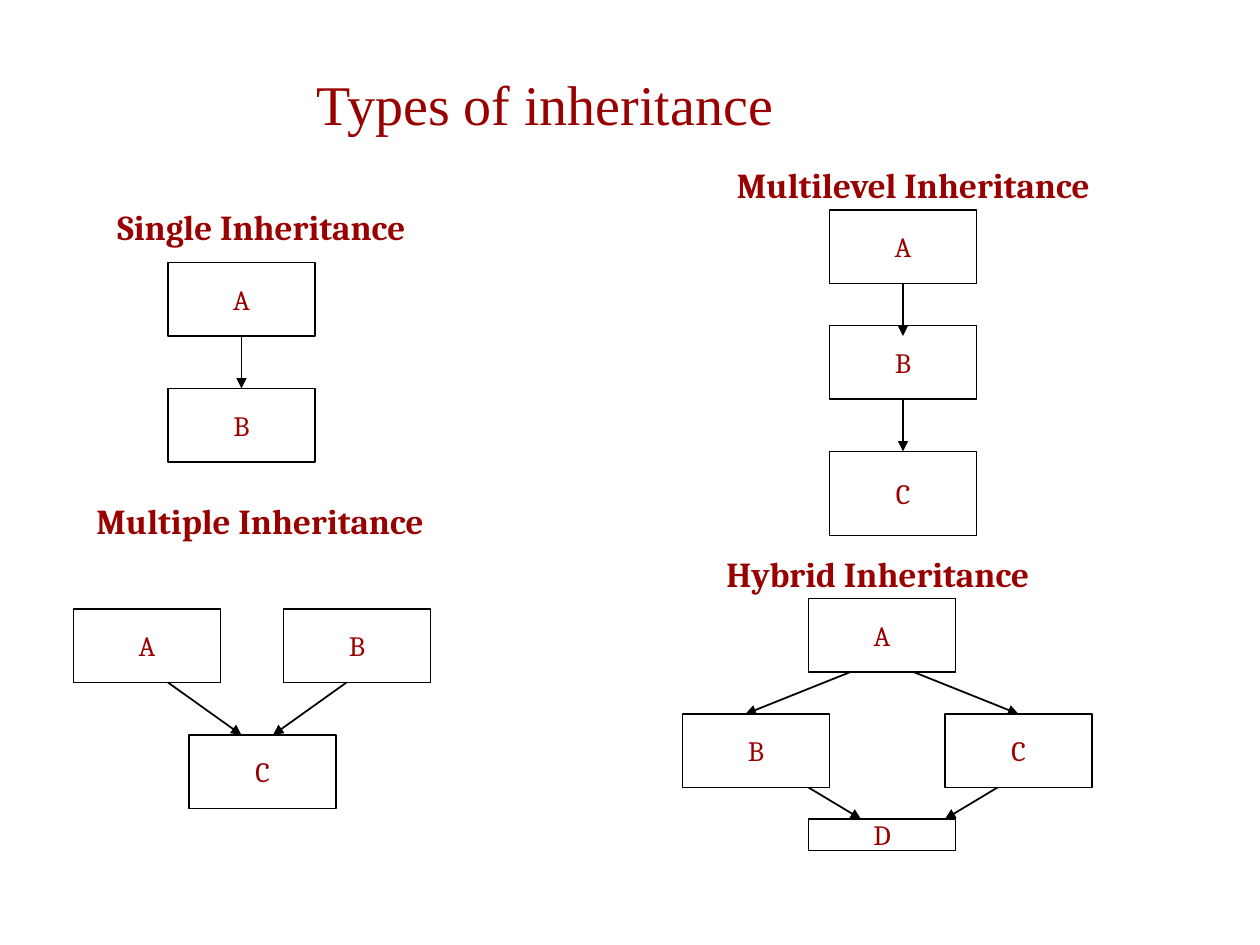
import pptx
import pptx.util
import pptx.dml.color
import pptx.enum.shapes
import pptx.enum.text
import pptx.oxml.ns
import lxml.etree

PX = 7620  # 120 px to the inch
BOX_WIDTH, BOX_HEIGHT = 140, 70
RED, BLACK, WHITE = "990000", "000000", "FFFFFF"
TOP, BOTTOM = 0, 2


def rgb(hex_color):
    return pptx.dml.color.RGBColor.from_string(hex_color)


def add_run(paragraph, text, size=16, font="Cambria", bold=False, color=RED):
    run = paragraph.add_run()
    run.text = text
    run.font.size = pptx.util.Pt(size)
    run.font.name = font
    run.font.bold = bold
    run.font.color.rgb = rgb(color)


presentation = pptx.Presentation()
presentation.slide_width = 1200 * PX
presentation.slide_height = 900 * PX
slide = presentation.slides.add_slide(presentation.slide_layouts[6])

title = slide.shapes.add_textbox(290 * PX, 40 * PX, 480 * PX, 100 * PX)
title.text_frame.word_wrap = True
title_line = title.text_frame.paragraphs[0]
add_run(title_line, "Types of inheritance", size=32, font="Times New Roman")
add_run(title_line, " ", size=44, font="Times New Roman")

# Heading: text, left, top, width. Classes: name, left, top, height.
# Arrows: x and y of the start, x and y of the end.
diagrams = [
    (("Single Inheritance", 100, 190, 305),
     [("A", 160, 250, BOX_HEIGHT), ("B", 160, 370, BOX_HEIGHT)],
     [(230, 320, 230, 370)]),
    (("Multiple Inheritance", 80, 470, 342),
     [("A", 70, 580, BOX_HEIGHT), ("B", 270, 580, BOX_HEIGHT),
      ("C", 180, 700, BOX_HEIGHT)],
     [(160, 650, 230, 700), (330, 650, 260, 700)]),
    (("Multilevel Inheritance", 690, 150, 367),
     [("A", 790, 200, BOX_HEIGHT), ("B", 790, 310, BOX_HEIGHT),
      ("C", 790, 430, 80)],
     [(860, 270, 860, 320), (860, 380, 860, 430)]),
    (("Hybrid Inheritance", 680, 520, 318),
     [("A", 770, 570, BOX_HEIGHT), ("B", 650, 680, BOX_HEIGHT),
      ("C", 900, 680, BOX_HEIGHT), ("D", 770, 780, 30)],
     [(870, 640, 970, 680), (810, 640, 710, 680),
      (770, 750, 820, 780), (950, 750, 900, 780)]),
]

for (heading, left, top, width), classes, arrows in diagrams:
    label = slide.shapes.add_textbox(left * PX, top * PX, width * PX, 52 * PX)
    label.text_frame.word_wrap = False
    add_run(label.text_frame.paragraphs[0], heading, size=20, bold=True)

    side_middles = {}
    for name, left, top, height in classes:
        box = slide.shapes.add_shape(
            pptx.enum.shapes.MSO_SHAPE.RECTANGLE,
            left * PX, top * PX, BOX_WIDTH * PX, height * PX)
        box.shadow.inherit = False
        box.fill.solid()
        box.fill.fore_color.rgb = rgb(WHITE)
        box.line.color.rgb = rgb(BLACK)
        box.line.width = pptx.util.Pt(1)
        box.text_frame.word_wrap = False
        box.text_frame.vertical_anchor = pptx.enum.text.MSO_ANCHOR.MIDDLE
        class_name = box.text_frame.paragraphs[0]
        class_name.alignment = pptx.enum.text.PP_ALIGN.CENTER
        add_run(class_name, name)
        middle = left + BOX_WIDTH // 2
        side_middles[middle, top] = (box, TOP)
        side_middles[middle, top + height] = (box, BOTTOM)

    for x1, y1, x2, y2 in arrows:
        arrow = slide.shapes.add_connector(
            pptx.enum.shapes.MSO_CONNECTOR.STRAIGHT,
            x1 * PX, y1 * PX, x2 * PX, y2 * PX)
        if (x1, y1) in side_middles:
            arrow.begin_connect(*side_middles[x1, y1])
        if (x2, y2) in side_middles:
            arrow.end_connect(*side_middles[x2, y2])
        arrow.line.color.rgb = rgb(BLACK)
        arrow.line.width = pptx.util.Pt(1)
        properties = arrow.element.spPr
        line = properties.find(pptx.oxml.ns.qn("a:ln"))
        lxml.etree.SubElement(line, pptx.oxml.ns.qn("a:tailEnd"), type="triangle")
        lxml.etree.SubElement(properties, pptx.oxml.ns.qn("a:effectLst"))

presentation.save("out.pptx")
